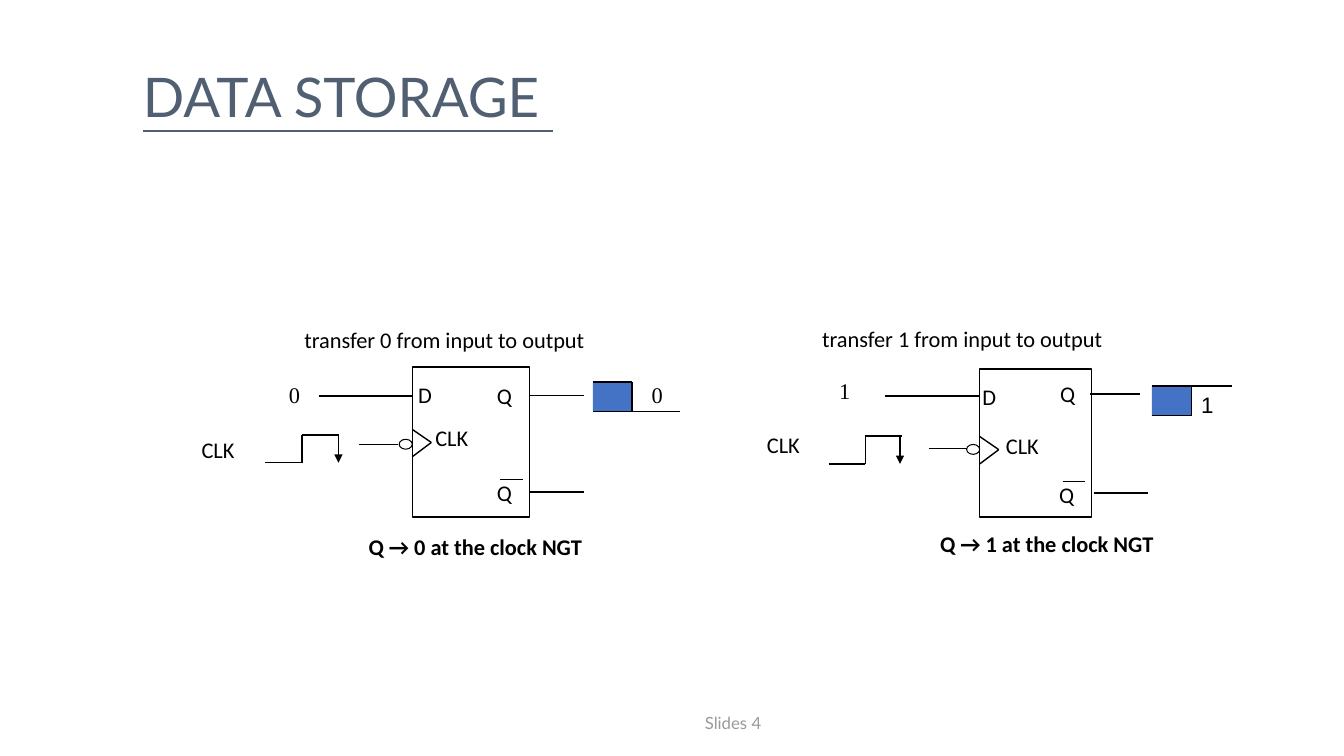
from itertools import pairwise
from lxml import etree
from pptx import Presentation
from pptx.dml.color import RGBColor
from pptx.enum.shapes import MSO_CONNECTOR as Line, MSO_SHAPE as Preset
from pptx.enum.text import MSO_ANCHOR as Anchor, PP_ALIGN as Align
from pptx.oxml.ns import qn
from pptx.util import Cm, Pt

INK, PULSE, SLATE, GREY = "000000", "4472C4", "515F73", "9A9A9A"

# Content: lengths in cm; each label is text, left, top, width, format
BODY = dict(name="Calibri", size=Pt(16))
BOLD = dict(BODY, bold=True)
SERIF = dict(BODY, name="Times New Roman")
SANS = dict(BODY, name="Arial")
FLIP_FLOPS = [
    dict(
        body=(10.39, 9.25, 2.95, 3.78), clock=(6.68, 11.66), fall=8.53,
        chevron_top=10.82, bubble_top=11.07, q_bar=(12.27, 11.96),
        pulse=(14.94, 9.63), level=0, level_end=17.15,
        wires=[(8.03, 10.39, 9.98), (9.04, 10.03, 11.2),
               (13.34, 14.71, 9.96), (13.34, 14.71, 12.4)],
        labels=[("transfer 0 from input to output", 7.42, 8.1, 8, BODY),
                ("0", 7.03, 9.47, 1, SERIF), ("CLK", 4.83, 10.87, 1.6, BODY),
                ("D", 10.29, 9.47, 1, BODY), ("CLK", 10.72, 10.57, 1.6, BODY),
                ("Q", 12.27, 9.5, 1, BODY), ("0", 16.17, 9.47, 1, SERIF),
                ("Q → 0 at the clock NGT", 9.04, 13.31, 6.5, BOLD)]),
    dict(
        body=(24.69, 9.3, 2.82, 3.73), clock=(20.88, 11.69), fall=22.68,
        chevron_top=11, bubble_top=11.2, q_bar=(26.44, 12.01),
        pulse=(29.03, 9.73), level=1, level_end=31.04,
        wires=[(22.3, 24.66, 9.98), (23.42, 24.36, 11.3),
               (27.46, 28.73, 9.93), (27.56, 28.93, 12.42)],
        labels=[("transfer 1 from input to output", 20.47, 8.08, 8, BODY),
                ("1", 20.9, 9.37, 1, SERIF), ("CLK", 19.08, 10.74, 1.6, BODY),
                ("D", 24.51, 9.53, 1, BODY), ("CLK", 25.1, 10.77, 1.6, BODY),
                ("Q", 26.47, 9.45, 1, BODY), ("1", 30.02, 9.73, 1, SANS),
                ("Q → 1 at the clock NGT", 23.44, 13.23, 6.5, BOLD)]),
]
STEP, RISE = 0.93, 0.7
PULSE_WIDTH, PULSE_HEIGHT = 0.99, 0.74
BUBBLE_WIDTH, BUBBLE_HEIGHT = 0.33, 0.25

deck = Presentation()
deck.slide_width, deck.slide_height = Cm(33.87), Cm(19.05)
page = deck.slides.add_slide(deck.slide_layouts[6])


def color(code):
    return RGBColor.from_string(code)


def add_label(text, left, top, width, font, ink=INK, height=0.94,
              align=Align.LEFT, anchor=Anchor.TOP):
    box = page.shapes.add_textbox(Cm(left), Cm(top), Cm(width), Cm(height))
    box.text_frame.word_wrap = True
    box.text_frame.vertical_anchor = anchor
    para = box.text_frame.paragraphs[0]
    para.alignment = align
    span = para.add_run()
    span.text = text
    span.font.color.rgb = color(ink)
    for key, value in font.items():
        setattr(span.font, key, value)


def add_shape(preset, left, top, width, height, fill=None, weight=None):
    shape = page.shapes.add_shape(preset, Cm(left), Cm(top), Cm(width), Cm(height))
    shape.shadow.inherit = False
    if fill:
        shape.fill.solid()
        shape.fill.fore_color.rgb = color(fill)
    else:
        shape.fill.background()
    if weight:
        shape.line.color.rgb = color(INK)
        shape.line.width = Pt(weight)
    else:
        shape.line.fill.background()


def add_wire(*points, weight=1, arrow=False):
    for start, end in pairwise(points):
        wire = page.shapes.add_connector(Line.STRAIGHT, *map(Cm, start + end))
        wire.line.color.rgb = color(INK)
        wire.line.width = Pt(weight)
        if arrow:
            etree.SubElement(wire.line._get_or_add_ln(), qn("a:tailEnd"), type="triangle")
        etree.SubElement(wire._element.spPr, qn("a:effectLst"))


def draw_flip_flop(part):
    # Output pulse and the level it settles at
    left, top = part["pulse"]
    right, bottom = left + PULSE_WIDTH, top + PULSE_HEIGHT
    add_shape(Preset.RECTANGLE, left, top, PULSE_WIDTH, PULSE_HEIGHT, fill=PULSE)
    add_wire((left, top), (right, top), (right, bottom), (left, bottom))
    level = top if part["level"] else bottom
    add_wire((right, level), (part["level_end"], level))

    # Body, clock input and wires
    add_shape(Preset.RECTANGLE, *part["body"], weight=1)
    edge, notch = part["body"][0], part["chevron_top"]
    add_wire((edge, notch), (edge + 0.48, notch + 0.33), (edge, notch + 0.69))
    add_shape(Preset.OVAL, edge - BUBBLE_WIDTH, part["bubble_top"],
              BUBBLE_WIDTH, BUBBLE_HEIGHT, weight=0.75)
    for start, end, height in part["wires"]:
        add_wire((start, height), (end, height))

    # Clock signal with its falling edge
    start, low = part["clock"]
    high, middle = low - RISE, start + STEP
    add_wire((start, low), (middle, low), (middle, high), (middle + STEP, high))
    add_wire((part["fall"], high), (part["fall"], low), arrow=True)

    # Labels, and the bar over the inverted output
    for label in part["labels"]:
        add_label(*label)
    left, top = part["q_bar"]
    add_label("Q", left, top, 1, BODY)
    add_wire((left + 0.34, top + 0.13), (left + 0.9, top + 0.13), weight=0.75)


for flip_flop in FLIP_FLOPS:
    draw_flip_flop(flip_flop)

# Title and footer
add_label("DATA STORAGE ", 3.35, 1.45, 28,
          dict(name="Lato", size=Pt(39), underline=True), SLATE, height=1.9)
add_label("Slides 4", 17, 17.27, 2.95, dict(name="Lato", size=Pt(12)), GREY,
          height=1.32, align=Align.CENTER, anchor=Anchor.BOTTOM)

deck.save("out.pptx")
